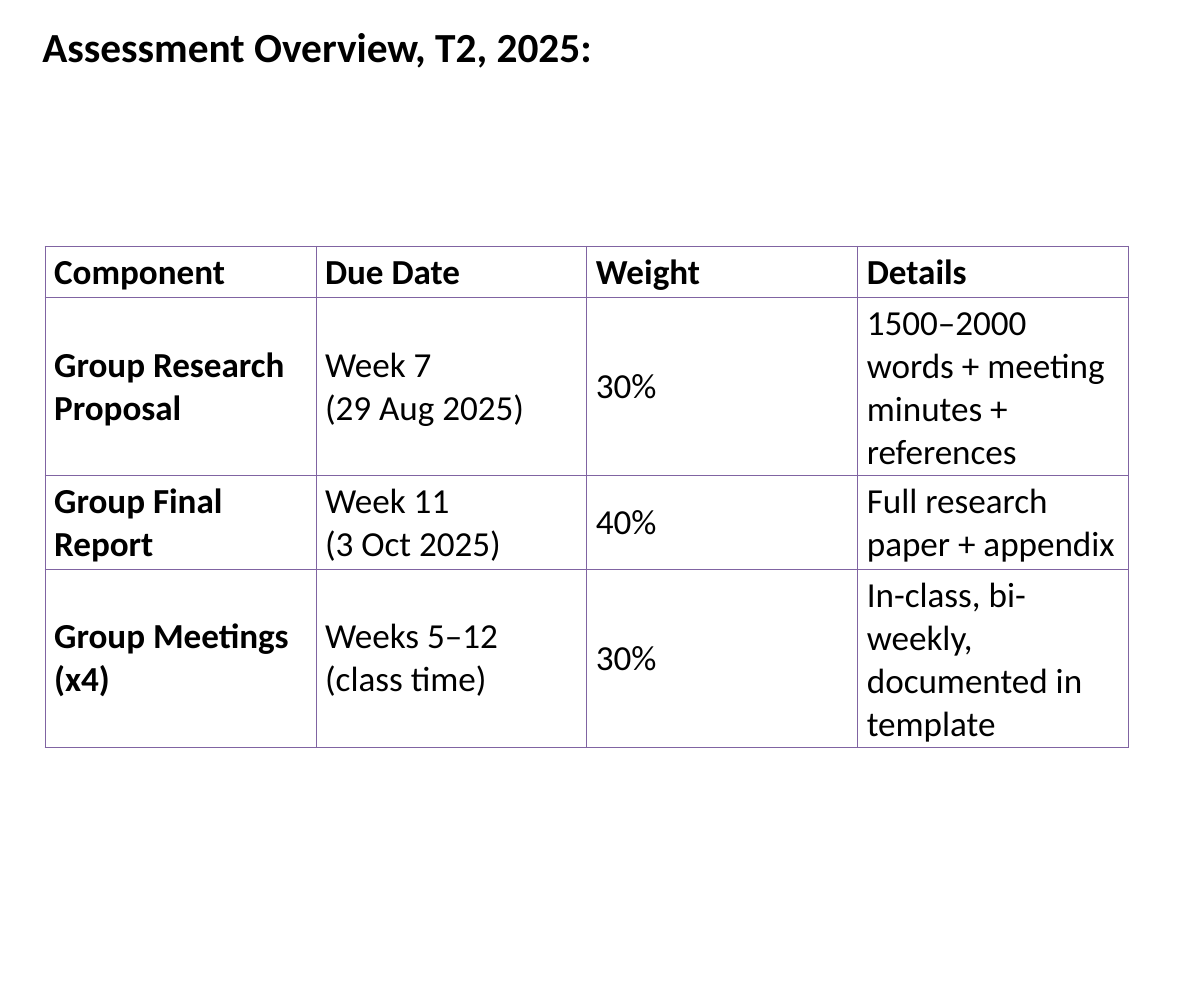
"""Build the assessment overview slide with its schedule table."""
from dataclasses import dataclass

from lxml import etree
from pptx import Presentation
from pptx.dml.color import RGBColor
from pptx.enum.text import MSO_ANCHOR
from pptx.oxml.ns import qn
from pptx.slide import Slide
from pptx.table import _Cell
from pptx.text.text import _Paragraph
from pptx.util import Inches, Pt

MIDDLE = MSO_ANCHOR.MIDDLE


@dataclass(frozen=True)
class Theme:
    font: str = "Calibri"
    ink: str = "000000"
    paper: str = "FFFFFF"
    border: str = "8064A2"
    border_points: float = 1
    title_size: float = 33
    table_size: float = 28


@dataclass(frozen=True)
class Assessment:
    component: str
    due_date: str
    weight: str
    details: str
    row_height: float


THEME = Theme()
SLIDE_WIDTH = Inches(40 / 3)
SLIDE_HEIGHT = Inches(11)
TITLE = "Assessment Overview, T2, 2025:"
HEADINGS = ("Component", "Due Date", "Weight", "Details")
HEADING_HEIGHT = 0.57
COLUMN_WIDTH = 3
ASSESSMENTS = (
    Assessment("Group Research Proposal", "Week 7\n(29 Aug 2025)", "30%",
               "1500–2000 words + meeting minutes + references", 1.96),
    Assessment("Group Final Report", "Week 11\n(3 Oct 2025)", "40%",
               "Full research paper + appendix", 1.04),
    Assessment("Group Meetings (x4)", "Weeks 5–12\n(class time)", "30%",
               "In-class, bi-weekly, documented in template", 1.96),
)


def write(paragraph: _Paragraph, text: str, size: float, bold: bool) -> None:
    paragraph.text = text
    paragraph.font.name = THEME.font
    paragraph.font.size = Pt(size)
    paragraph.font.bold = bold
    paragraph.font.color.rgb = RGBColor.from_string(THEME.ink)


def add_borders(cell: _Cell) -> None:
    properties = cell._tc.get_or_add_tcPr()
    for position, side in enumerate(("lnL", "lnR", "lnT", "lnB")):
        line = etree.Element(qn(f"a:{side}"), w=str(Pt(THEME.border_points)))
        fill = etree.SubElement(line, qn("a:solidFill"))
        etree.SubElement(fill, qn("a:srgbClr"), val=THEME.border)
        properties.insert(position, line)


def draw_title(slide: Slide) -> None:
    title = slide.shapes.add_textbox(
        Inches(0.21), Inches(0.23), Inches(11.38), Inches(0.57))
    frame = title.text_frame
    frame.word_wrap = True
    frame.margin_left = frame.margin_right = frame.margin_bottom = 0
    frame.margin_top = Inches(0.01)
    heading = frame.paragraphs[0]
    heading._p.get_or_add_pPr().set("marL", str(Inches(0.26)))
    write(heading, TITLE, THEME.title_size, True)


def draw_schedule(slide: Slide) -> None:
    rows = [HEADINGS] + [
        (item.component, item.due_date, item.weight, item.details)
        for item in ASSESSMENTS]
    heights = [HEADING_HEIGHT] + [item.row_height for item in ASSESSMENTS]
    schedule = slide.shapes.add_table(
        len(rows), len(HEADINGS), Inches(0.5), Inches(2.73),
        Inches(COLUMN_WIDTH * len(HEADINGS)), Inches(sum(heights))).table
    schedule.first_row = schedule.horz_banding = False
    for row_index, (texts, height) in enumerate(zip(rows, heights)):
        schedule.rows[row_index].height = Inches(height)
        for column_index, text in enumerate(texts):
            cell = schedule.cell(row_index, column_index)
            cell.vertical_anchor = MIDDLE
            cell.fill.solid()
            cell.fill.fore_color.rgb = RGBColor.from_string(THEME.paper)
            add_borders(cell)
            write(cell.text_frame.paragraphs[0], text, THEME.table_size,
                  row_index == 0 or column_index == 0)


def main() -> None:
    presentation = Presentation()
    presentation.slide_width = SLIDE_WIDTH
    presentation.slide_height = SLIDE_HEIGHT
    slide = presentation.slides.add_slide(presentation.slide_layouts[6])
    draw_title(slide)
    draw_schedule(slide)
    presentation.save("out.pptx")


if __name__ == "__main__":
    main()
